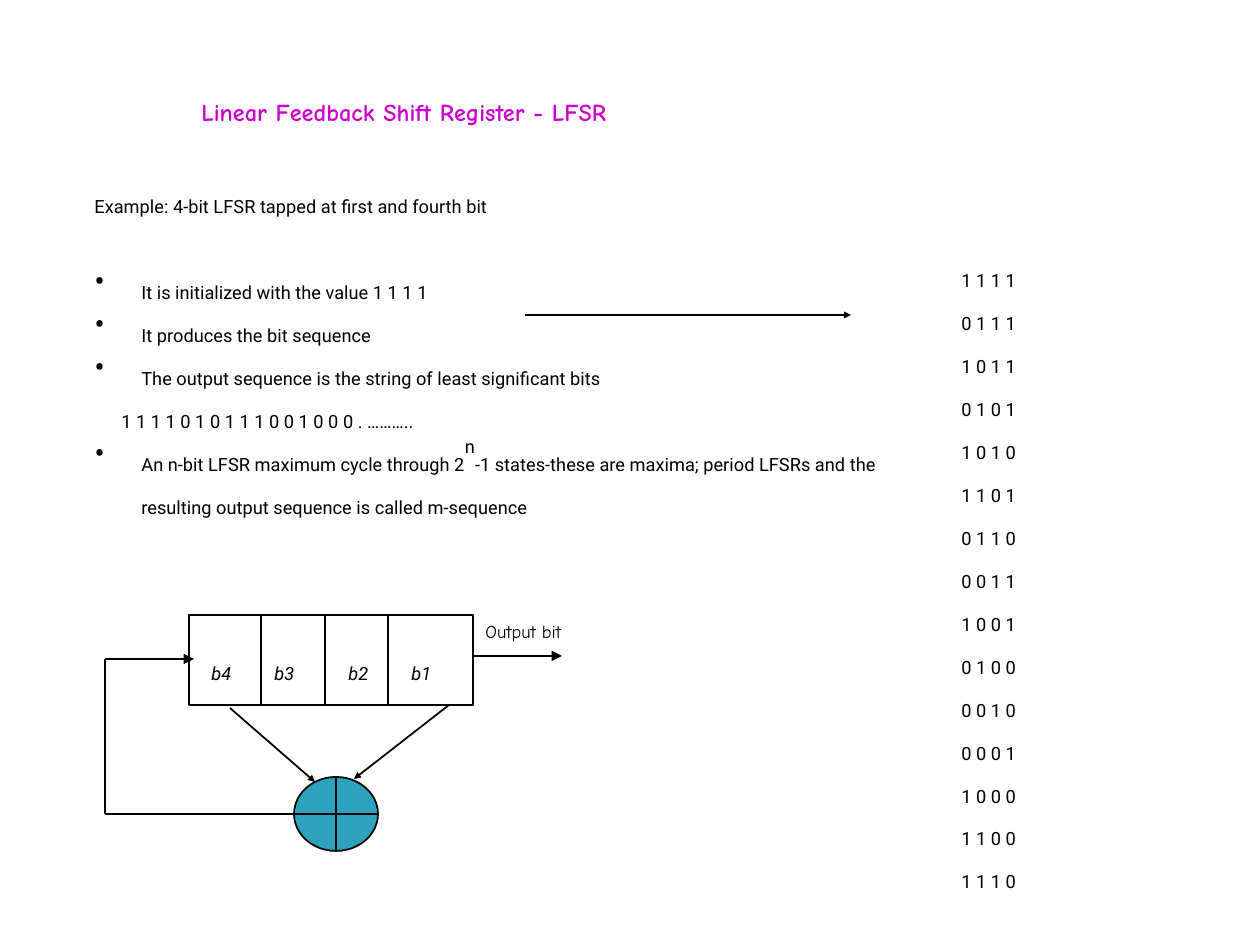
from typing import NamedTuple

from pptx import Presentation
from pptx.dml.color import RGBColor
from pptx.enum.shapes import MSO_CONNECTOR, MSO_SHAPE
from pptx.oxml.ns import qn
from pptx.util import Pt
from lxml import etree

PX = 914400 // 126
STRAIGHT = MSO_CONNECTOR.STRAIGHT
RECT, XOR = MSO_SHAPE.RECTANGLE, MSO_SHAPE.FLOWCHART_OR

BLACK = RGBColor(0, 0, 0)
WHITE = RGBColor(255, 255, 255)
PINK = RGBColor(0xCC, 0, 0xCC)
TEAL = RGBColor(0x2D, 0xA2, 0xBF)

BODY, COMIC = "Roboto", "Comic Neue"
LOW, HIGH = -25000, 30000  # baseline shifts
HANG = 47


class Box(NamedTuple):
    left: int
    top: int
    width: int
    height: int


class Line(NamedTuple):
    x1: int
    y1: int
    x2: int
    y2: int
    weight: float = 0.75
    head: str = ""  # arrowhead size


class Item(NamedTuple):
    words: list[str]  # every second one is a superscript
    left: int = HANG
    indent: int = -HANG
    bullet: bool = False
    before: float = 0


def add_text(shapes, box: Box, items: list[Item], size: int = 18, face: str = BODY,
             color: RGBColor = BLACK, bold: bool = False, italic: bool = False) -> None:
    frame = shapes.add_textbox(*(n * PX for n in box)).text_frame
    frame.word_wrap = True
    for i, item in enumerate(items):
        para = frame.add_paragraph() if i else frame.paragraphs[0]
        props = para._p.get_or_add_pPr()
        props.set("marL", str(item.left * PX))
        props.set("indent", str(item.indent * PX))
        if item.before:
            para.space_before = Pt(item.before)
        if item.bullet:
            etree.SubElement(props, qn("a:buFont")).set("typeface", face)
            etree.SubElement(props, qn("a:buChar")).set("char", "•")
        else:
            etree.SubElement(props, qn("a:buNone"))
        for j, word in enumerate(item.words):
            run = para.add_run()
            run.text = word
            font = run.font
            font.size, font.name = Pt(size), face
            font.bold, font.italic = bold, italic
            font.color.rgb = color
            run._r.get_or_add_rPr().set("baseline", str(HIGH if j % 2 else LOW))


def add_line(shapes, line: Line) -> None:
    ends = (n * PX for n in line[:4])
    link = shapes.add_connector(STRAIGHT, *ends)
    link.line.color.rgb = BLACK
    link.line.width = Pt(line.weight)
    if line.head:
        tail = etree.SubElement(link._element.spPr.get_or_add_ln(), qn("a:tailEnd"))
        tail.set("type", "triangle")
        tail.set("w", line.head)
        tail.set("len", line.head)
    etree.SubElement(link._element.spPr, qn("a:effectLst"))


def add_shape(shapes, kind: MSO_SHAPE, box: Box, fill: RGBColor, weight: float) -> None:
    shape = shapes.add_shape(kind, *(n * PX for n in box))
    shape.shadow.inherit = False
    shape.fill.solid()
    shape.fill.fore_color.rgb = fill
    shape.line.color.rgb = BLACK
    shape.line.width = Pt(weight)


def plain(text: str) -> Item:
    return Item([text], 0, 0)


STATES = ["1 1 1 1", "0 1 1 1", "1 0 1 1", "0 1 0 1", "1 0 1 0",
          "1 1 0 1", "0 1 1 0", "0 0 1 1", "1 0 0 1", "0 1 0 0",
          "0 0 1 0", "0 0 0 1", "1 0 0 0", "1 1 0 0", "1 1 1 0"]

NOTES = [
    Item(["Example: 4-bit LFSR tapped at first and fourth bit"]),
    Item(["It is initialized with the value 1 1 1 1"], bullet=True, before=24.5),
    Item(["It produces the bit sequence"], bullet=True),
    Item(["The output sequence is the string of least significant bits"], bullet=True),
    Item(["1 1 1 1 0 1 0 1 1 1 0 0 1 0 0 0 . ……….."], 27, 0),
    Item(["An n-bit LFSR maximum cycle through 2", "n",
          "-1 states-these are maxima; period LFSRs and the "
          "resulting output sequence is called m-sequence"], bullet=True),
]

BITS = {"b4": 199, "b3": 262, "b2": 336, "b1": 399}
TOP, BASE = 615, 705  # register edges
WALLS = [261, 325, 388]

LINES = [
    *(Line(x, TOP, x, BASE) for x in WALLS),
    # Feedback loop
    Line(294, 814, 105, 814, 1),
    Line(105, 814, 105, 659),
    Line(105, 659, 194, 659, head="med"),
    # Output
    Line(473, 656, 562, 656, head="med"),
    # Taps
    Line(230, 708, 315, 782, 1, "sm"),
    Line(449, 705, 354, 779, 1, "sm"),
    # Pointer to the states
    Line(525, 315, 851, 315, 1, "sm"),
]


def main() -> None:
    deck = Presentation()
    deck.slide_width, deck.slide_height = 1260 * PX, 945 * PX
    shapes = deck.slides.add_slide(deck.slide_layouts[6]).shapes

    # Title and text
    add_text(shapes, Box(189, 63, 834, 63),
             [plain("Linear Feedback Shift Register - LFSR")], 24, COMIC, PINK, bold=True)
    add_text(shapes, Box(82, 168, 863, 391), NOTES)
    add_text(shapes, Box(949, 242, 122, 581), [Item([state]) for state in STATES])

    # Register and adder
    add_shape(shapes, RECT, Box(189, TOP, 284, BASE - TOP), WHITE, 0.75)
    add_shape(shapes, XOR, Box(294, 777, 84, 74), TEAL, 1)
    for line in LINES:
        add_line(shapes, line)

    # Labels
    for name, left in BITS.items():
        add_text(shapes, Box(left, 635, 54, 50), [plain(name)], italic=True)
    add_text(shapes, Box(473, 593, 180, 50), [plain("Output bit")], face=COMIC)

    deck.save("out.pptx")


if __name__ == "__main__":
    main()
